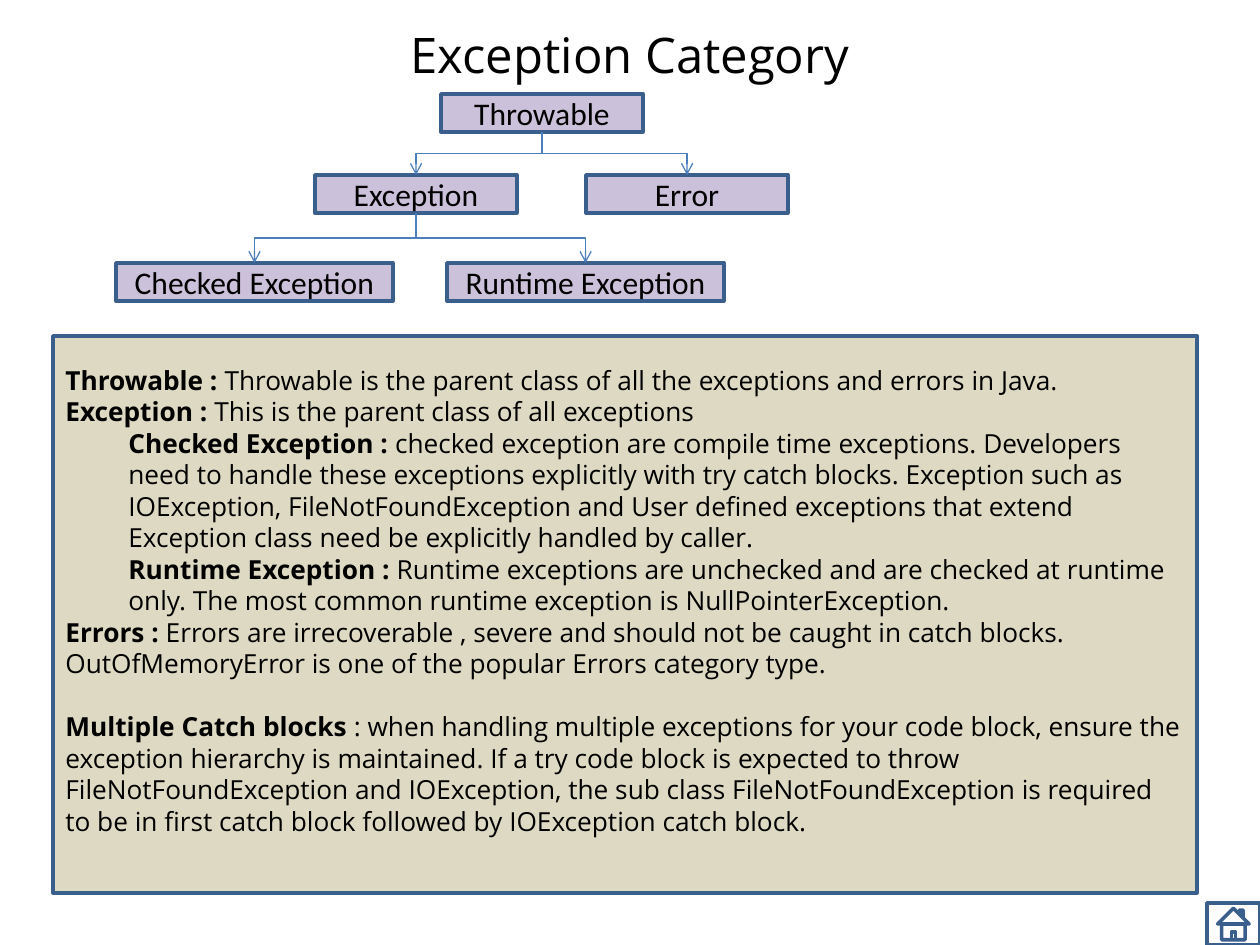
from pptx import Presentation
from pptx.dml.color import RGBColor
from pptx.enum.shapes import MSO_CONNECTOR as CONN, MSO_SHAPE as SHAPE
from pptx.enum.text import MSO_ANCHOR as ANCHOR, PP_ALIGN as ALIGN
from pptx.oxml.ns import qn
from pptx.util import Pt
from lxml.etree import SubElement

PX = 914400 // 126
COLORS = {"text": "000000", "edge": "3A5F8C", "node": "CCC1DA",
          "panel": "DDD9C3", "arrow": "4B7EBC"}


def color(name):
    return RGBColor.from_string(COLORS[name])


class Board:
    head = "Open Sans"
    label = "Calibri"

    def __init__(self, prs):
        self.s = prs.slides.add_slide(prs.slide_layouts[6])

    def run(self, p, text, size, font, bold=False):
        r = p.add_run()
        r.text = text
        r.font.size = Pt(size)
        r.font.name = font
        r.font.bold = bold
        r.font.color.rgb = color("text")

    def title(self, text, x, y, w, h):
        tf = self.s.shapes.add_textbox(x * PX, y * PX, w * PX, h * PX).text_frame
        tf.word_wrap = True
        tf.vertical_anchor = ANCHOR.MIDDLE
        p = tf.paragraphs[0]
        p.alignment = ALIGN.CENTER
        self.run(p, text, 28, self.head)

    def shape(self, kind, x, y, w, h, fill=None):
        sp = self.s.shapes.add_shape(kind, x * PX, y * PX, w * PX, h * PX)
        sp.shadow.inherit = False
        if fill:
            sp.fill.solid()
            sp.fill.fore_color.rgb = color(fill)
        else:
            sp.fill.background()
        sp.line.color.rgb = color("edge")
        sp.line.width = Pt(2)
        return sp

    def node(self, text, x, y, w, h=38):
        sp = self.shape(SHAPE.RECTANGLE, x, y, w, h, "node")
        tf = sp.text_frame
        tf.vertical_anchor = ANCHOR.MIDDLE
        p = tf.paragraphs[0]
        p.alignment = ALIGN.CENTER
        self.run(p, text, 18, self.label)
        return sp

    def panel(self, items, x, y, w, h):
        tf = self.shape(SHAPE.RECTANGLE, x, y, w, h, "panel").text_frame
        tf.word_wrap = True
        tf.vertical_anchor = ANCHOR.TOP
        tf.margin_top = 28 * PX
        for i, (indent, before, term, text) in enumerate(items):
            p = tf.add_paragraph() if i else tf.paragraphs[0]
            p.alignment = ALIGN.LEFT
            p.line_spacing = Pt(18)
            p.space_before = Pt(before)
            if indent:
                p.level = 1
            pPr = p._p.get_or_add_pPr()
            pPr.set("marL", str(indent * PX))
            pPr.set("indent", "0")
            self.run(p, term, 15, self.head, True)
            self.run(p, text, 15, self.head)

    def branch(self, parent, child):
        x1 = parent.left + parent.width // 2
        x2 = child.left + child.width // 2
        y1, y2 = parent.top + parent.height, child.top
        mx, my = (x1 + x2) // 2, (y1 + y2) // 2
        half_w, half_h = (y2 - y1) // 2, abs(x2 - x1) // 2
        side = 1 if x2 < x1 else -1
        c = self.s.shapes.add_connector(
            CONN.ELBOW, mx - side * half_w, my - half_h,
            mx + side * half_w, my + half_h)
        c.line.color.rgb = color("arrow")
        c.line.width = Pt(0.75)
        spPr = c._element.spPr
        angle = 90 if side > 0 else 270
        spPr.find(qn("a:xfrm")).set("rot", str(angle * 60000))
        SubElement(spPr.find(qn("a:ln")), qn("a:tailEnd"), type="arrow")
        SubElement(spPr, qn("a:effectLst"))


prs = Presentation()
prs.slide_width, prs.slide_height = 1260 * PX, 945 * PX
board = Board(prs)

board.title("Exception Category", 63, 5, 1134, 98)
board.shape(SHAPE.ACTION_BUTTON_HOME, 1207, 903, 53, 42)
board.panel([
    (0, 0, "Throwable : ",
     "Throwable is the parent class of all the exceptions and errors in Java. "),
    (0, 0, "Exception : ", "This is the parent class of all exceptions"),
    (63, 0, "Checked Exception : ",
     "checked exception are compile time exceptions. Developers need to handle "
     "these exceptions explicitly with try catch blocks. Exception such as "
     "IOException, FileNotFoundException and User defined exceptions that extend "
     "Exception class need be explicitly handled by caller."),
    (63, 0, "Runtime Exception : ",
     "Runtime exceptions are unchecked and are checked at runtime only. "
     "The most common runtime exception is NullPointerException."),
    (0, 0, "Errors : ",
     "Errors are irrecoverable , severe and should not be caught in catch blocks. "
     "OutOfMemoryError is one of the popular Errors category type."),
    (0, 18, "Multiple Catch blocks ",
     ": when handling multiple exceptions for your code block, ensure the "
     "exception hierarchy is maintained. If a try code block is expected to throw "
     "FileNotFoundException and IOException, the sub class FileNotFoundException "
     "is required to be in first catch block followed by IOException catch block."),
], 53, 336, 1144, 557)

throwable = board.node("Throwable", 441, 94, 202)
exception = board.node("Exception", 315, 175, 202)
error = board.node("Error", 586, 175, 202)
runtime = board.node("Runtime Exception", 447, 263, 277)
checked = board.node("Checked Exception", 116, 263, 277)

for parent, children in ((throwable, (exception, error)),
                         (exception, (checked, runtime))):
    for child in children:
        board.branch(parent, child)

prs.save("out.pptx")
